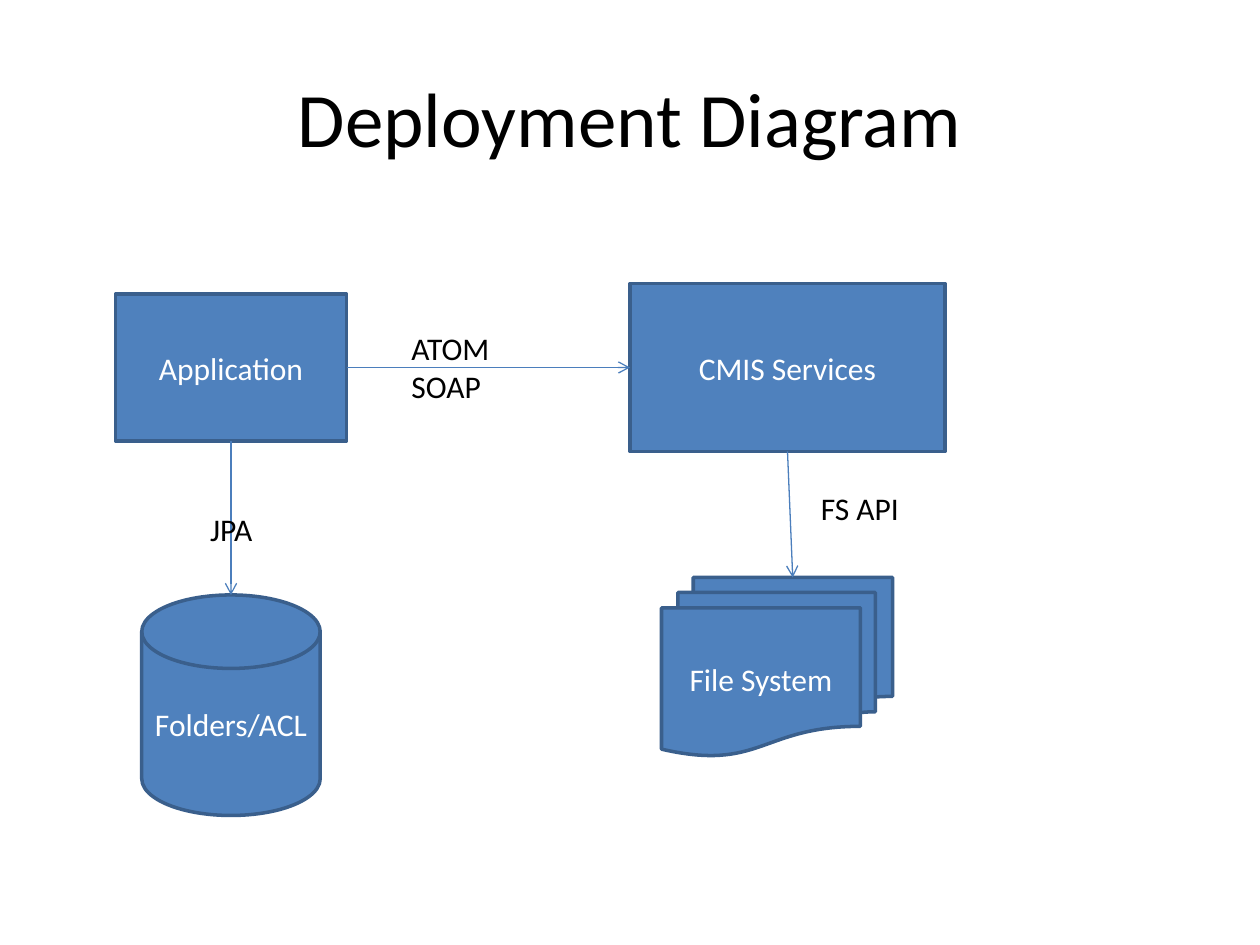
from pptx import Presentation
from pptx.dml.color import RGBColor
from pptx.enum import shapes, text
from pptx.oxml import parse_xml
from pptx.oxml.ns import nsdecls
from pptx.util import Pt

FONT = "Calibri"
KIND = shapes.MSO_SHAPE


def paint(fmt, color):
    fmt.solid()
    fmt.fore_color.rgb = RGBColor.from_string(color)


def write(shape, words, size, color, align, anchor):
    frame = shape.text_frame
    frame.word_wrap = True
    frame.vertical_anchor = anchor
    para = frame.paragraphs[0]
    para.text = words
    para.alignment = align
    for run in para.runs:
        run.font.name = FONT
        run.font.size = Pt(size)
        paint(run.font.fill, color)


def label(slide, words, x, y, w, h, size=18,
          align=text.PP_ALIGN.LEFT, anchor=text.MSO_ANCHOR.TOP):
    box = slide.shapes.add_textbox(Pt(x), Pt(y), Pt(w), Pt(h))
    write(box, words, size, "000000", align, anchor)


def node(slide, kind, words, x, y, w, h):
    shape = slide.shapes.add_shape(kind, Pt(x), Pt(y), Pt(w), Pt(h))
    shape.shadow.inherit = False
    paint(shape.fill, "4F81BD")
    paint(shape.line.fill, "3A5F8C")
    shape.line.width = Pt(2)
    write(shape, words, 18, "FFFFFF",
          text.PP_ALIGN.CENTER, text.MSO_ANCHOR.MIDDLE)


def arrow(slide, x1, y1, x2, y2):
    link = slide.shapes.add_connector(
        shapes.MSO_CONNECTOR.STRAIGHT, Pt(x1), Pt(y1), Pt(x2), Pt(y2))
    paint(link.line.fill, "4B7EBC")
    link.line.width = Pt(0.75)
    link.line._get_or_add_ln().append(
        parse_xml(f'<a:tailEnd {nsdecls("a")} type="arrow"/>'))
    link._element.spPr.append(
        parse_xml(f'<a:effectLst {nsdecls("a")}/>'))


def main():
    deck = Presentation()
    deck.slide_width, deck.slide_height = Pt(720), Pt(540)
    slide = deck.slides.add_slide(deck.slide_layouts[6])

    label(slide, "Deployment Diagram", 36, 21.6, 648, 90, 44,
          text.PP_ALIGN.CENTER, text.MSO_ANCHOR.MIDDLE)
    node(slide, KIND.FLOWCHART_MAGNETIC_DISK, "Folders/ACL",
         81, 340, 102, 126)
    node(slide, KIND.FLOWCHART_PROCESS, "Application", 66, 168, 132, 84)
    node(slide, KIND.FLOWCHART_PROCESS, "CMIS Services",
         360, 162, 180, 96)
    arrow(slide, 132, 252, 132, 340)
    label(slide, "JPA", 113, 288, 78, 29)
    arrow(slide, 198, 210, 360, 210)
    label(slide, "ATOM\vSOAP", 228, 184.5, 66, 51)
    node(slide, KIND.FLOWCHART_MULTIDOCUMENT, "File System",
         378, 330, 132, 102)
    arrow(slide, 450, 258, 453, 330)
    label(slide, "FS API", 462, 276, 78, 29)

    deck.save("out.pptx")


main()
